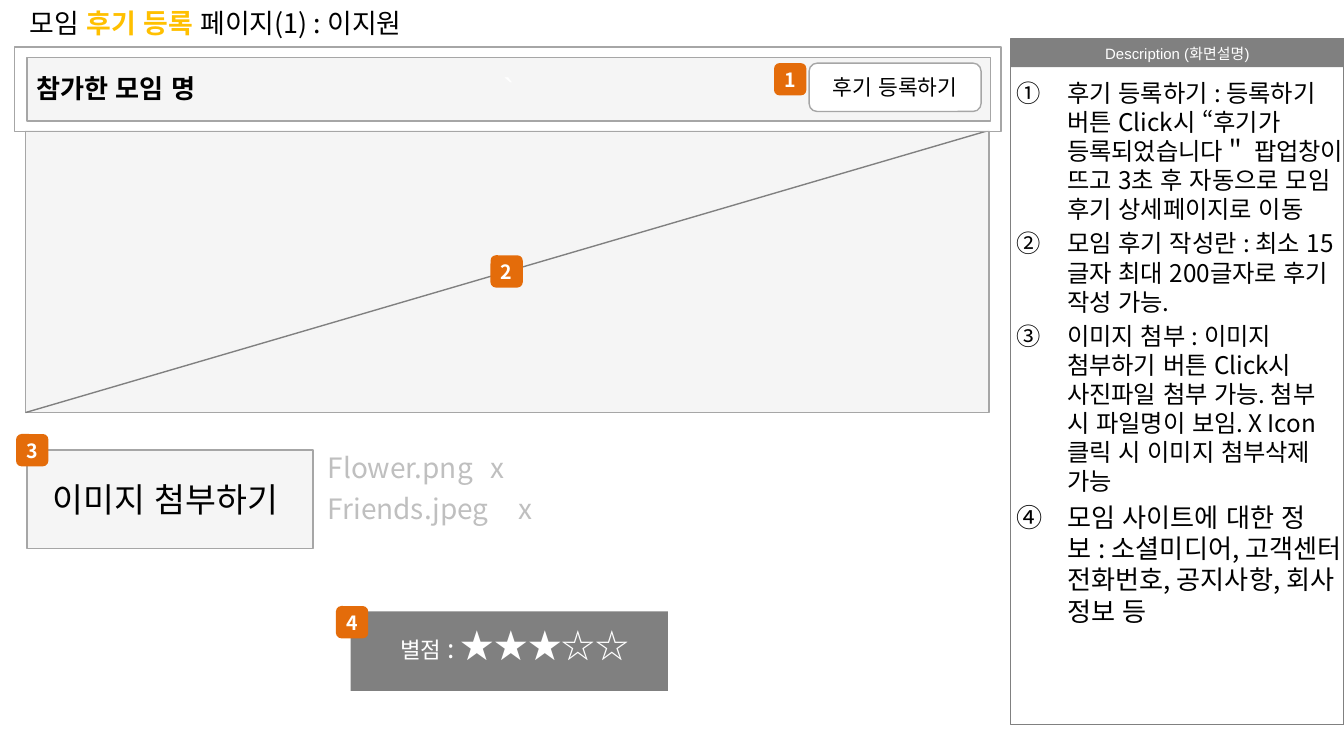
from lxml.etree import SubElement
from pptx import Presentation
from pptx.dml.color import RGBColor
from pptx.enum.lang import MSO_LANGUAGE_ID
from pptx.enum.shapes import MSO_CONNECTOR, MSO_SHAPE
from pptx.enum.text import MSO_ANCHOR, MSO_AUTO_SIZE, PP_ALIGN
from pptx.oxml.ns import qn
from pptx.util import Inches, Pt

KOREAN = "Noto Sans CJK KR"
GRAY, EDGE, PALE, ORANGE = "808080", "A6A6A6", "F2F2F2", "E46C0A"
BLACK, WHITE, GOLD, SILVER = "000000", "FFFFFF", "FFC000", "BFBFBF"
BADGE = 0.24


def color(value):
    return RGBColor.from_string(value)


def write(para, text, size, font=KOREAN, ink=BLACK, bold=False):
    span = para.add_run()
    span.text = text
    span.font.size = Pt(size)
    span.font.name = font
    span.font.bold = bold
    span.font.language_id = MSO_LANGUAGE_ID.KOREAN
    span.font.color.rgb = color(ink)
    SubElement(span.font._element, qn("a:ea"), typeface=KOREAN)


def set_frame(frame, margins=(0.1, 0.05, 0.1, 0.05), anchor=MSO_ANCHOR.TOP, wrap=True):
    frame.auto_size = MSO_AUTO_SIZE.NONE
    frame.word_wrap = wrap
    frame.vertical_anchor = anchor
    (frame.margin_left, frame.margin_top,
     frame.margin_right, frame.margin_bottom) = map(Inches, margins)


def place(holder, left, top, width, height):
    holder.left, holder.top = Inches(left), Inches(top)
    holder.width, holder.height = Inches(width), Inches(height)


def add_box(page, left, top, width, height, fill=None, line=None, opacity=100,
            kind=MSO_SHAPE.RECTANGLE, text="", margins=(0.1, 0.05, 0.1, 0.05),
            wrap=True, **style):
    box = page.shapes.add_shape(kind, *map(Inches, (left, top, width, height)))
    box.shadow.inherit = False
    if fill:
        box.fill.solid()
        box.fill.fore_color.rgb = color(fill)
        if opacity < 100:
            tint = box._element.spPr.find(qn("a:solidFill"))[0]
            SubElement(tint, qn("a:alpha"), val=str(opacity * 1000))
    else:
        box.fill.background()
    if line:
        box.line.color.rgb = color(line)
        box.line.width = Pt(0.75)
    else:
        box.line.fill.background()
    if text:
        set_frame(box.text_frame, margins, MSO_ANCHOR.MIDDLE, wrap)
        para = box.text_frame.paragraphs[0]
        para.alignment = PP_ALIGN.CENTER
        write(para, text, **style)


def add_label(page, left, top, width, height):
    """Add an empty text box and return its first paragraph."""
    box = page.shapes.add_textbox(*map(Inches, (left, top, width, height)))
    set_frame(box.text_frame)
    return box.text_frame.paragraphs[0]


def add_badge(page, left, top, number):
    add_box(page, left, top, BADGE, BADGE, ORANGE, kind=MSO_SHAPE.ROUNDED_RECTANGLE,
            text=str(number), margins=(0, 0.05, 0, 0.05), size=10.5, ink=WHITE, bold=True)


def add_title(page, left, top, width, height):
    title = page.shapes.title
    place(title, left, top, width, height)
    set_frame(title.text_frame, anchor=MSO_ANCHOR.MIDDLE)
    para = title.text_frame.paragraphs[0]
    para.alignment = PP_ALIGN.LEFT
    write(para, "모임 ", 14.4)
    write(para, "후기 등록 ", 14.4, ink=GOLD, bold=True)
    write(para, "페이지(1) : 이지원", 14.4)


def add_description(page, left, top, width, height):
    add_box(page, left, top, width, 0.21, GRAY, text="Description (화면설명)",
            margins=(0.09, 0.04, 0.09, 0.04), wrap=False, size=8, font="Arial", ink=WHITE)
    add_box(page, left, top, width, height, line=GRAY)
    body = page.placeholders[1]
    place(body, left, top + 0.24, width, height - 0.22)
    frame = body.text_frame
    set_frame(frame, (0.04, 0.05, 0, 0.05))
    notes = [
        ("후기 등록하기 : 등록하기 버튼 Click시 “후기가 등록되었습니다＂ 팝업창이 뜨고 "
         "3초 후 자동으로 모임 후기 상세페이지로 이동", 13),
        ("모임 후기 작성란 : 최소 15글자 최대 200글자로 후기 작성 가능.", 13),
        ("이미지 첨부 : 이미지 첨부하기 버튼 Click시 사진파일 첨부 가능. 첨부 시 파일명이 "
         "보임. X Icon 클릭 시 이미지 첨부삭제 가능", 13),
        ("모임 사이트에 대한 정보 : 소셜미디어, 고객센터 전화번호, 공지사항, 회사 정보 등", 14),
    ]
    for index, (text, size) in enumerate(notes):
        para = frame.add_paragraph() if index else frame.paragraphs[0]
        para.alignment = PP_ALIGN.LEFT
        para.line_spacing = 1.0
        para.space_before = Pt(0.2 * size)
        layout = para._p.get_or_add_pPr()
        layout.set("marL", str(Inches(0.38)))
        layout.set("indent", str(Inches(-0.38)))
        SubElement(layout, qn("a:buFont"), typeface=KOREAN)
        SubElement(layout, qn("a:buAutoNum"), type="circleNumDbPlain")
        write(para, text, size)


def add_review_area(page, left, top, width, height):
    add_box(page, left, top, width, height, PALE, EDGE, 70)
    diagonal = page.shapes.add_connector(
        MSO_CONNECTOR.STRAIGHT, Inches(left + width), Inches(top),
        Inches(left), Inches(top + height))
    diagonal.line.color.rgb = color(GRAY)
    diagonal.line.width = Pt(0.75)
    SubElement(diagonal._element.spPr, qn("a:effectLst"))
    add_badge(page, left + 3.46, top + 0.93, 2)


def add_header(page, left, top, width, height):
    add_box(page, left, top, width, height, WHITE, EDGE, 91)
    add_box(page, left + 0.09, top + 0.08, width - 0.17, 0.47, PALE, EDGE, 70,
            text="`", size=18, font="Arial", ink=WHITE)
    name = add_label(page, left + 0.06, top + 0.14, 1.58, 0.34)
    write(name, "참가한 모임 명", 14, font="Arial", bold=True)
    add_box(page, left + 5.91, top + 0.12, 1.28, 0.36, WHITE, EDGE,
            kind=MSO_SHAPE.ROUNDED_RECTANGLE, text="후기 등록하기", size=11.5)
    add_badge(page, left + 5.65, top + 0.12, 1)


def add_attachments(page, left, top, width, height):
    add_box(page, left, top, width, height, PALE, EDGE, 70,
            text="이미지 첨부하기 ", size=18, font="Arial")
    add_badge(page, left - 0.08, top - 0.12, 3)
    files = [("Flower.png", 1.21), ("Friends.jpeg", 1.42)]
    for row, (name, stop) in enumerate(files):
        para = add_label(page, left + width + 0.01, top - 0.05 + 0.31 * row, 1.87, 0.35)
        tabs = SubElement(para._p.get_or_add_pPr(), qn("a:tabLst"))
        SubElement(tabs, qn("a:tab"), pos=str(Inches(stop)), algn="l")
        write(para, name + "\tx", 15, ink=SILVER)


def add_rating(page, left, top, width, height):
    add_box(page, left, top, width, height, GRAY)
    add_badge(page, left - 0.11, top - 0.04, 4)
    para = add_label(page, left + 0.27, top + 0.05, 2.24, 0.4)
    for text, size in [("별점 ", 12), (": ", 14), ("★★★☆☆", 18)]:
        write(para, text, size, ink=WHITE)


def main():
    deck = Presentation()
    deck.slide_width = Inches(10)
    deck.slide_height = deck.slide_width * 9 // 16
    page = deck.slides.add_slide(deck.slide_layouts[1])
    add_title(page, 0.12, 0.01, 5.91, 0.32)
    add_description(page, 7.52, 0.29, 2.48, 5.1)
    add_review_area(page, 0.19, 0.97, 7.17, 2.1)
    add_header(page, 0.11, 0.35, 7.34, 0.63)
    add_attachments(page, 0.2, 3.35, 2.13, 0.73)
    add_rating(page, 2.61, 4.55, 2.36, 0.59)
    deck.save("out.pptx")


if __name__ == "__main__":
    main()
